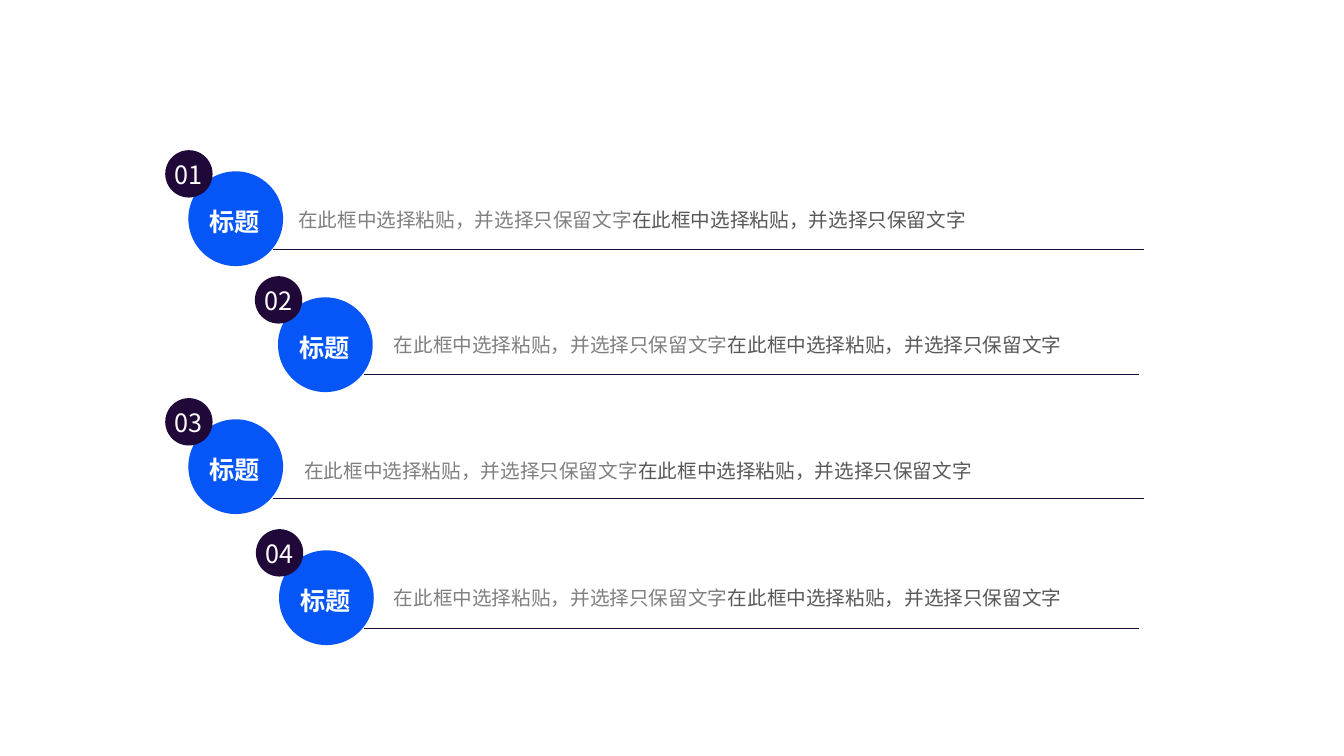
from pptx import Presentation
from pptx.dml.color import RGBColor
from pptx.enum.shapes import MSO_CONNECTOR, MSO_SHAPE
from pptx.enum.text import MSO_AUTO_SIZE, PP_ALIGN
from pptx.oxml.ns import qn
from pptx.util import Inches, Pt
from lxml import etree

FONT = "Noto Sans CJK SC"
BLUE, DARK, WHITE = "0656F7", "200838", "FFFFFF"
PHRASE = "在此框中选择粘贴，并选择只保留文字"
PHRASE_COLORS = ("808080", "595959")

# number, badge left and top, sentence left and top, line left, right and height
ROWS = [
    ("01", (1.64, 1.49), (2.96, 2.06), (2.71, 11.36, 2.48)),
    ("02", (2.53, 2.74), (3.91, 3.3), (3.61, 11.31, 3.72)),
    ("03", (1.64, 3.95), (3.02, 4.55), (2.71, 11.36, 4.95)),
    ("04", (2.54, 5.25), (3.91, 5.81), (3.61, 11.31, 6.24)),
]


def rgb(color):
    return RGBColor.from_string(color)


def add_text(shapes, spans, left, top, width, height, *, size, bold=False,
             align=PP_ALIGN.LEFT, margins=(0, 0)):
    """Add a one-paragraph text box; spans are (text, color) pairs."""
    box = shapes.add_textbox(Inches(left), Inches(top), Inches(width), Inches(height))
    frame = box.text_frame
    frame.word_wrap = True
    frame.auto_size = MSO_AUTO_SIZE.SHAPE_TO_FIT_TEXT
    frame.margin_left = frame.margin_right = Inches(margins[0])
    frame.margin_top = frame.margin_bottom = Inches(margins[1])
    para = frame.paragraphs[0]
    para.alignment = align
    for text, color in spans:
        span = para.add_run()
        span.text = text
        span.font.size = Pt(size)
        span.font.bold = bold
        span.font.name = FONT
        span.font.color.rgb = rgb(color)
        east_asian = etree.SubElement(span.font._element, qn("a:ea"))
        east_asian.set("typeface", FONT)


def add_circle(shapes, left, top, diameter, color):
    circle = shapes.add_shape(MSO_SHAPE.OVAL, Inches(left), Inches(top),
                              Inches(diameter), Inches(diameter))
    circle.shadow.inherit = False
    circle.fill.solid()
    circle.fill.fore_color.rgb = rgb(color)
    circle.line.fill.background()


def add_badge(page, number, left, top):
    """Group a large titled circle with a small numbered one at its upper left."""
    shapes = page.shapes.add_group_shape().shapes
    label = dict(size=18, align=PP_ALIGN.CENTER, margins=(0.07, 0.04))
    add_circle(shapes, left + 0.23, top + 0.21, 0.94, BLUE)
    add_text(shapes, [("标题", WHITE)], left + 0.22, top + 0.52, 0.94, 0.38,
             bold=True, **label)
    add_circle(shapes, left, top, 0.47, DARK)
    add_text(shapes, [(number, WHITE)], left - 0.01, top + 0.05, 0.48, 0.38, **label)


def add_rule(page, left, right, height):
    rule = page.shapes.add_connector(MSO_CONNECTOR.STRAIGHT, Inches(left), Inches(height),
                                     Inches(right), Inches(height))
    rule.line.color.rgb = rgb(DARK)
    rule.line.width = Pt(0.75)
    etree.SubElement(rule._element.spPr, qn("a:effectLst"))


def main():
    deck = Presentation()
    deck.slide_width, deck.slide_height = Inches(13.34), Inches(7.5)
    page = deck.slides.add_slide(deck.slide_layouts[6])
    sentence = [(PHRASE, color) for color in PHRASE_COLORS]
    for number, badge, sentence_start, rule in ROWS:
        add_rule(page, *rule)
        add_badge(page, number, *badge)
        add_text(page.shapes, sentence, *sentence_start, 8.9, 0.47, size=14)
    deck.save("out.pptx")


if __name__ == "__main__":
    main()
